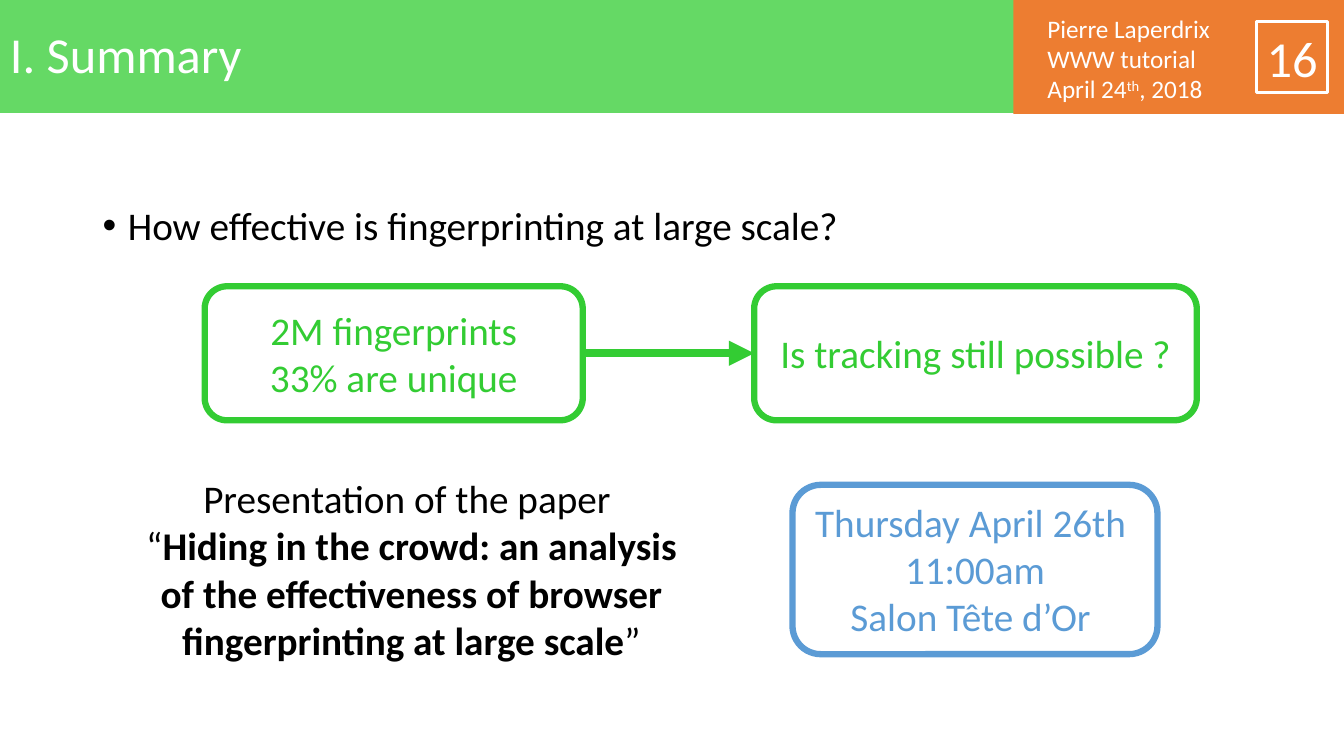
"""Build the fingerprinting summary slide."""
from dataclasses import dataclass

from lxml import etree
from pptx import Presentation
from pptx.dml.color import RGBColor
from pptx.enum.shapes import MSO_CONNECTOR, MSO_SHAPE
from pptx.enum.text import MSO_ANCHOR, PP_ALIGN
from pptx.oxml.ns import qn
from pptx.util import Inches, Pt

RECTANGLE, ROUNDED = MSO_SHAPE.RECTANGLE, MSO_SHAPE.ROUNDED_RECTANGLE
STRAIGHT = MSO_CONNECTOR.STRAIGHT
TOP, MIDDLE = MSO_ANCHOR.TOP, MSO_ANCHOR.MIDDLE
LEFT, CENTER = PP_ALIGN.LEFT, PP_ALIGN.CENTER


@dataclass(frozen=True)
class Theme:
    font: str = "Calibri"
    white: str = "FFFFFF"
    black: str = "000000"
    header: str = "65D965"
    corner: str = "ED7D31"
    green: str = "33CC33"
    blue: str = "5B9BD5"
    title: int = 36
    body: int = 28
    credit: int = 18


theme = Theme()
deck = Presentation()
deck.slide_width, deck.slide_height = Inches(13.33), Inches(7.5)
page = deck.slides.add_slide(deck.slide_layouts[6])


def add_box(area, kind, fill=None, line=None, width=4.5):
    """Add a flat preset shape, or a text box when kind is None."""
    place = [Inches(length) for length in area]
    if kind is None:
        return page.shapes.add_textbox(*place)
    box = page.shapes.add_shape(kind, *place)
    box.shadow.inherit = False
    if fill:
        box.fill.solid()
        box.fill.fore_color.rgb = RGBColor.from_string(fill)
    else:
        box.fill.background()
    if line:
        box.line.color.rgb = RGBColor.from_string(line)
        box.line.width = Pt(width)
    else:
        box.line.fill.background()
    return box


def write(box, lines, size, color, align=LEFT, anchor=TOP, wrap=True):
    """Write lines, each a tuple of spans, in one style."""
    frame = box.text_frame
    frame.word_wrap = wrap
    frame.vertical_anchor = anchor
    frame.text = "\n".join(spans[0] for spans in lines)
    for para, spans in zip(frame.paragraphs, lines):
        para.alignment = align
        for text in spans[1:]:
            para.add_run().text = text
        for span in para.runs:
            span.font.name = theme.font
            span.font.size = Pt(size)
            span.font.color.rgb = RGBColor.from_string(color)
    return frame.paragraphs


add_box((0, 0, 13.33, 1.12), RECTANGLE, theme.header)
add_box((10.05, 0, 3.28, 1.13), RECTANGLE, theme.corner)

credit = add_box((10.29, 0.08, 2.25, 1.01), None)
credit_lines = [("Pierre Laperdrix",), ("WWW tutorial",), ("April 24", "th", ", 2018")]
date = write(credit, credit_lines, theme.credit, theme.white)[2]
date.runs[1].font._element.set("baseline", "30000")

title = add_box((0, 0, 10.05, 1.13), None)
heading = write(title, [("I. Summary",)], theme.title, theme.white, anchor=MIDDLE)[0]
heading.line_spacing = 0.9

number = add_box((12.46, 0.21, 0.71, 0.71), RECTANGLE, line=theme.white, width=2.25)
write(number, [("16",)], theme.title, theme.white, CENTER, MIDDLE, wrap=False)

body = add_box((0.92, 2, 11.5, 1.02), None)
question_lines = [("How effective is fingerprinting at large scale?",)]
question = write(body, question_lines, theme.body, theme.black)[0]
question.line_spacing = 0.9
question.space_before = Pt(10)
bullet = question._p.get_or_add_pPr()
bullet.set("marL", str(Inches(0.25)))
bullet.set("indent", str(-Inches(0.25)))
etree.SubElement(bullet, qn("a:buFont"), typeface="Arial")
etree.SubElement(bullet, qn("a:buChar"), char="•")

finding = add_box((2.03, 2.84, 3.75, 1.33), ROUNDED, theme.white, theme.green)
finding_lines = [("2M fingerprints",), ("33% are unique",)]
write(finding, finding_lines, theme.body, theme.green, CENTER, MIDDLE)

tracking = add_box((7.48, 2.84, 4.39, 1.33), ROUNDED, theme.white, theme.green)
tracking_lines = [("Is tracking still possible ?",)]
write(tracking, tracking_lines, theme.body, theme.green, CENTER, MIDDLE)

arrow = page.shapes.add_connector(
    STRAIGHT, Inches(5.78), Inches(3.51), Inches(7.48), Inches(3.51)
)
arrow.begin_connect(finding, 3)
arrow.end_connect(tracking, 1)
arrow.line.color.rgb = RGBColor.from_string(theme.green)
arrow.line.width = Pt(6)
etree.SubElement(arrow.line._get_or_add_ln(), qn("a:tailEnd"), type="triangle")
etree.SubElement(arrow._element.spPr, qn("a:effectLst"))

paper = add_box((1.15, 4.66, 5.86, 1.99), None)
paper_title = (
    "Hiding in the crowd: an analysis of the effectiveness "
    "of browser fingerprinting at large scale"
)
paper_lines = [("Presentation of the paper ",), ("“", paper_title, "”")]
quote = write(paper, paper_lines, theme.body, theme.black, CENTER)[1]
quote.runs[1].font.bold = True

session = add_box((7.86, 4.81, 3.62, 1.68), ROUNDED, theme.white, theme.blue)
session_lines = [("Thursday April 26th ",), ("11:00am",), ("Salon Tête d’Or ",)]
write(session, session_lines, theme.body, theme.blue, CENTER, wrap=False)

deck.save("out.pptx")
